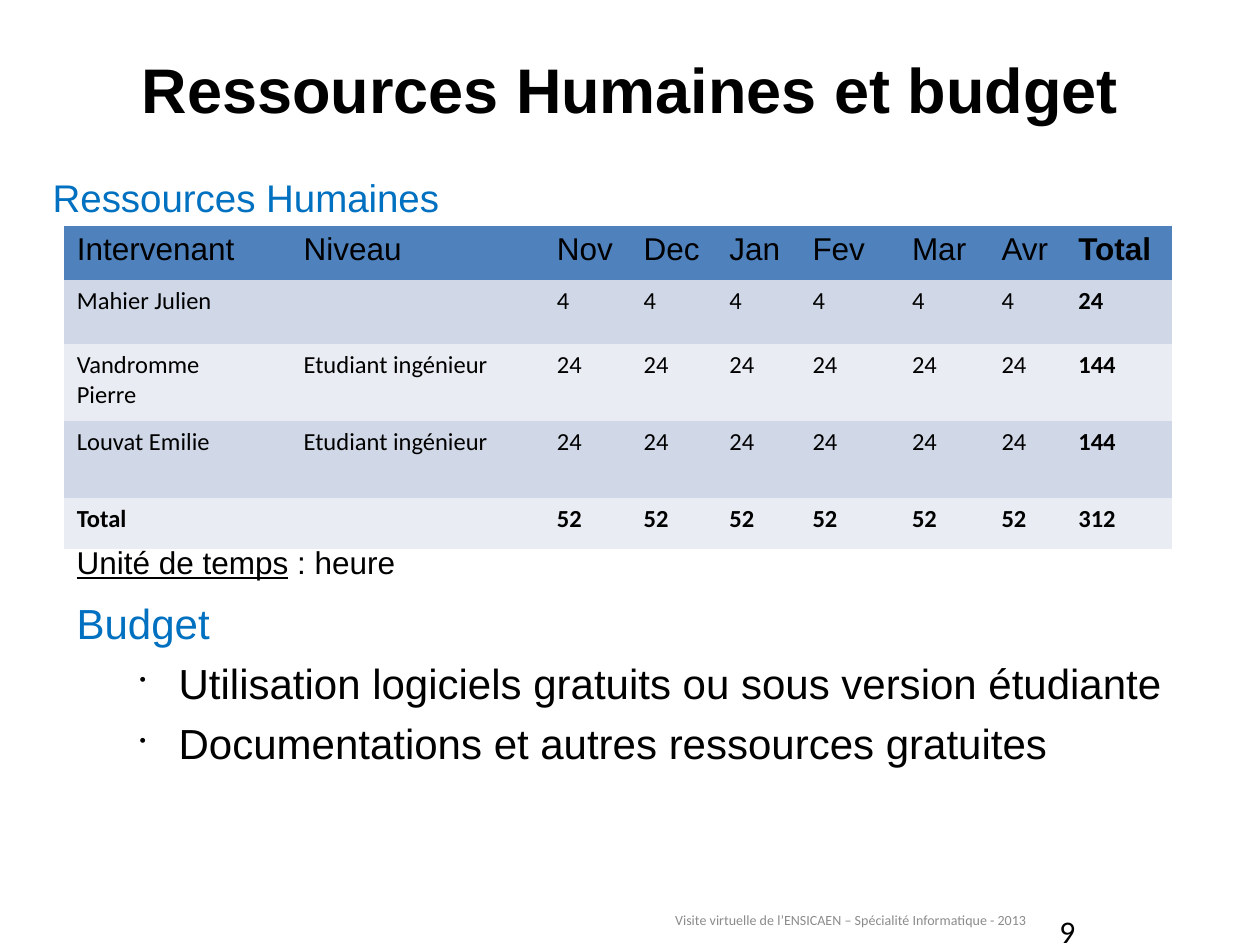
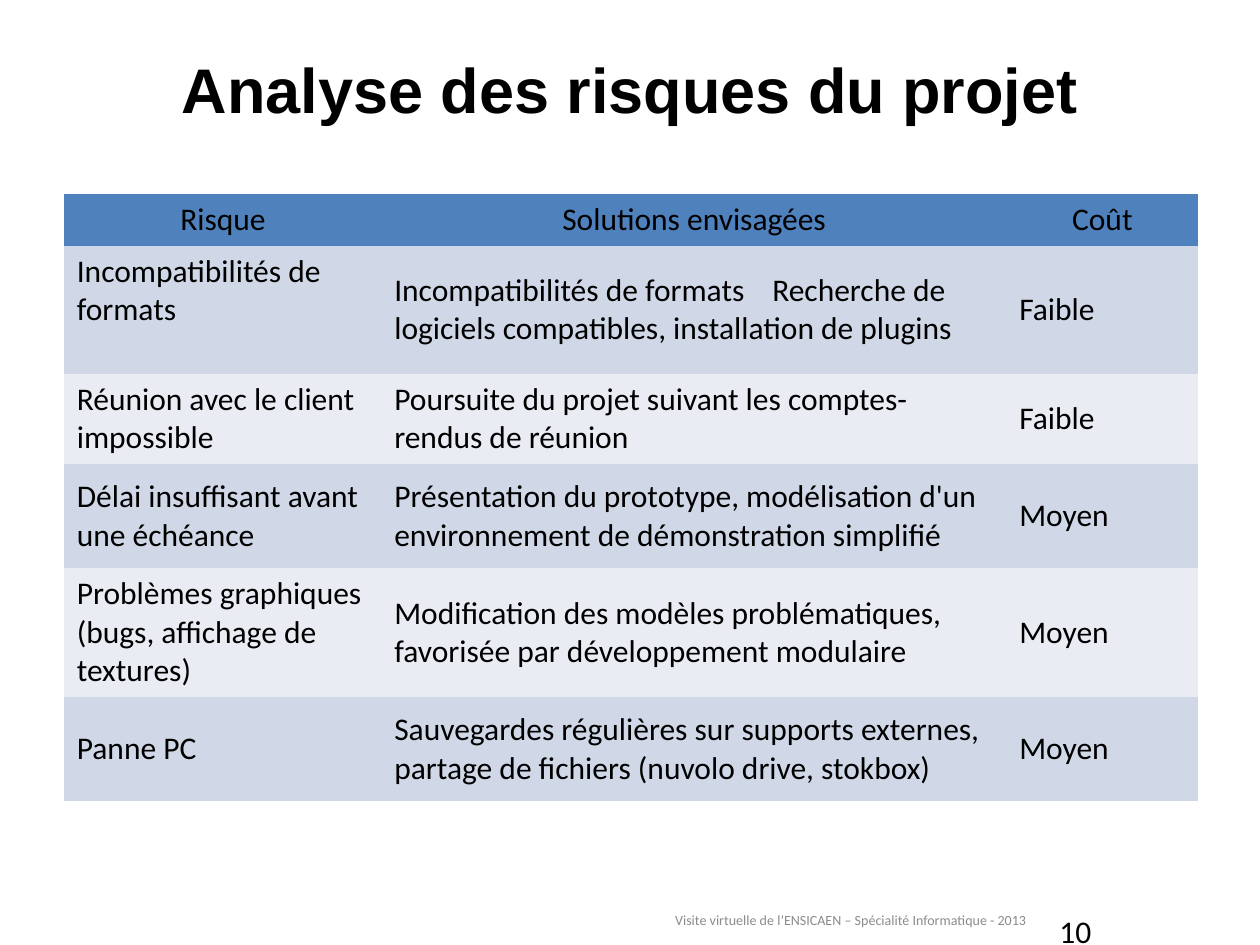
from pptx import Presentation
from pptx.dml.color import RGBColor
from pptx.enum.text import MSO_ANCHOR as ANCHOR, MSO_AUTO_SIZE as FIT, PP_ALIGN as ALIGN
from pptx.util import Pt
from lxml.etree import SubElement
from pptx.oxml.ns import qn

PX = 9144  # 100 px to the inch
rgb = RGBColor.from_string
BLACK, GREY, BLUE = "000000", "8B8B8B", "0070C0"
HEADER, BANDS = "4F81BD", ("D0D8E7", "E9ECF3")
NO_GRID = "{2D5ABB26-0587-4C30-8999-92F81FD0307C}"


def add_run(p, text, size, font="Arial", color=BLACK, bold=False, underline=False):
    r = p.add_run()
    r.text = text
    r.font.size, r.font.name = Pt(size), font
    r.font.bold, r.font.underline = bold, underline
    r.font.color.rgb = rgb(color)


def add_box(s, x, y, w, h, top=10, wrap=True, fit=FIT.NONE):
    tf = s.shapes.add_textbox(x * PX, y * PX, w * PX, h * PX).text_frame
    tf.word_wrap, tf.auto_size = wrap, fit
    tf.margin_top = top * PX
    return tf


prs = Presentation()
prs.slide_width, prs.slide_height = 1000 * PX, 750 * PX

staff = [
    ["Intervenant", "", "Niveau", "Nov", "Dec", "Jan", "Fev", "Mar", "Avr", "Total"],
    ["Mahier Julien", "", ""] + ["4"] * 6 + ["24"],
    ["Vandromme\nPierre", "", "Etudiant ingénieur"] + ["24"] * 6 + ["144"],
    ["Louvat Emilie", "", "Etudiant ingénieur"] + ["24"] * 6 + ["144"],
    ["Total", "", ""] + ["52"] * 6 + ["312"],
]
risks = [
    ["Risque", "Solutions envisagées", "Coût"],
    ["Incompatibilités de formats",
     "Incompatibilités de formats\tRecherche de logiciels compatibles, installation de plugins",
     "Faible"],
    ["Réunion avec le client impossible",
     "Poursuite du projet suivant les comptes-rendus de réunion", "Faible"],
    ["Délai insuffisant avant une échéance",
     "Présentation du prototype, modélisation d'un environnement de démonstration simplifié",
     "Moyen"],
    ["Problèmes graphiques (bugs, affichage de textures)",
     "Modification des modèles problématiques, favorisée par développement modulaire", "Moyen"],
    ["Panne PC",
     "Sauvegardes régulières sur supports externes, partage de fichiers (nuvolo drive, stokbox)",
     "Moyen"],
]
# number, title, title height, table top, column widths, row heights, cells
pages = [
    (9, "Ressources Humaines et budget", 98, 179,
     [156, 24, 201, 69, 68, 66, 79, 71, 61, 84], [43, 51, 61, 61, 41], staff),
    (10, "Analyse des risques du projet", 125, 154,
     [252, 496, 152], [41, 102, 71, 83, 102, 83], risks),
]

for number, title, title_h, table_y, widths, heights, rows in pages:
    s = prs.slides.add_slide(prs.slide_layouts[5])

    # Title
    sp = s.shapes.title
    sp.left, sp.top, sp.width, sp.height = 50 * PX, 30 * PX, 900 * PX, title_h * PX
    tf = sp.text_frame
    tf.auto_size, tf.vertical_anchor = FIT.NONE, ANCHOR.TOP
    tf.margin_top = 10 * PX
    tf.paragraphs[0].alignment = ALIGN.CENTER
    add_run(tf.paragraphs[0], title, 36, bold=True)

    # Footer and slide number
    tf = add_box(s, 516, 710, 309, 40, top=5)
    tf.vertical_anchor = ANCHOR.MIDDLE
    tf.paragraphs[0].alignment = ALIGN.RIGHT
    add_run(tf.paragraphs[0], "Visite virtuelle de l’ENSICAEN – Spécialité Informatique - 2013",
            8, "Calibri", GREY)
    tf = add_box(s, 831, 714, 47, 36)
    add_run(tf.paragraphs[0], str(number), 18, "Calibri")

    # Table
    table = s.shapes.add_table(len(rows), len(widths), 51 * PX, table_y * PX,
                               sum(widths) * PX, sum(heights) * PX).table
    table._tbl.tblPr.find(qn("a:tableStyleId")).text = NO_GRID
    table.first_row = table.horz_banding = False
    for col, w in zip(table.columns, widths):
        col.width = w * PX
    for i, row in enumerate(rows):
        table.rows[i].height = heights[i] * PX
        for j, text in enumerate(row):
            cell = table.cell(i, j)
            cell.fill.solid()
            cell.fill.fore_color.rgb = rgb(BANDS[(i - 1) % 2] if i else HEADER)
            if rows is staff:
                size, font = (14, "Calibri") if i else (18, "Arial")
                bold = j == len(row) - 1 or i == len(rows) - 1
            else:
                size, font, bold = 18, "Calibri", False
                cell.vertical_anchor = ANCHOR.TOP if (i, j) == (1, 0) else ANCHOR.MIDDLE
            for k, line in enumerate(text.split("\n") if text else []):
                p = cell.text_frame.add_paragraph() if k else cell.text_frame.paragraphs[0]
                if rows is risks and i == 0:
                    p.alignment = ALIGN.CENTER
                add_run(p, line, size, font, bold=bold)

# Time unit, below the staff table
s = prs.slides[0]
p = add_box(s, 51, 421, 890, 45, fit=FIT.SHAPE_TO_FIT_TEXT).paragraphs[0]
add_run(p, "Unité de temps", 18, underline=True)
add_run(p, " : heure", 18)

# Budget
tf = add_box(s, 51, 469, 900, 146, top=5, fit=FIT.SHAPE_TO_FIT_TEXT)
add_run(tf.paragraphs[0], "Budget", 24, color=BLUE)
for text in ("Utilisation logiciels gratuits ou sous version étudiante",
             "Documentations et autres ressources gratuites"):
    p = tf.add_paragraph()
    p.level, p.space_before = 1, Pt(5.6)
    pPr = p._p.get_or_add_pPr()
    pPr.set("marL", str(81 * PX))
    pPr.set("indent", str(-31 * PX))
    SubElement(SubElement(pPr, qn("a:buClr")), qn("a:srgbClr"), val=BLACK)
    SubElement(pPr, qn("a:buSzPct"), val="45000")
    SubElement(pPr, qn("a:buChar"), char="•")
    add_run(p, text, 24)

# Heading above the staff table
tf = add_box(s, 32, 128, 327, 52, wrap=False, fit=FIT.SHAPE_TO_FIT_TEXT)
add_run(tf.paragraphs[0], "Ressources Humaines", 22, color=BLUE)

prs.save("out.pptx")
